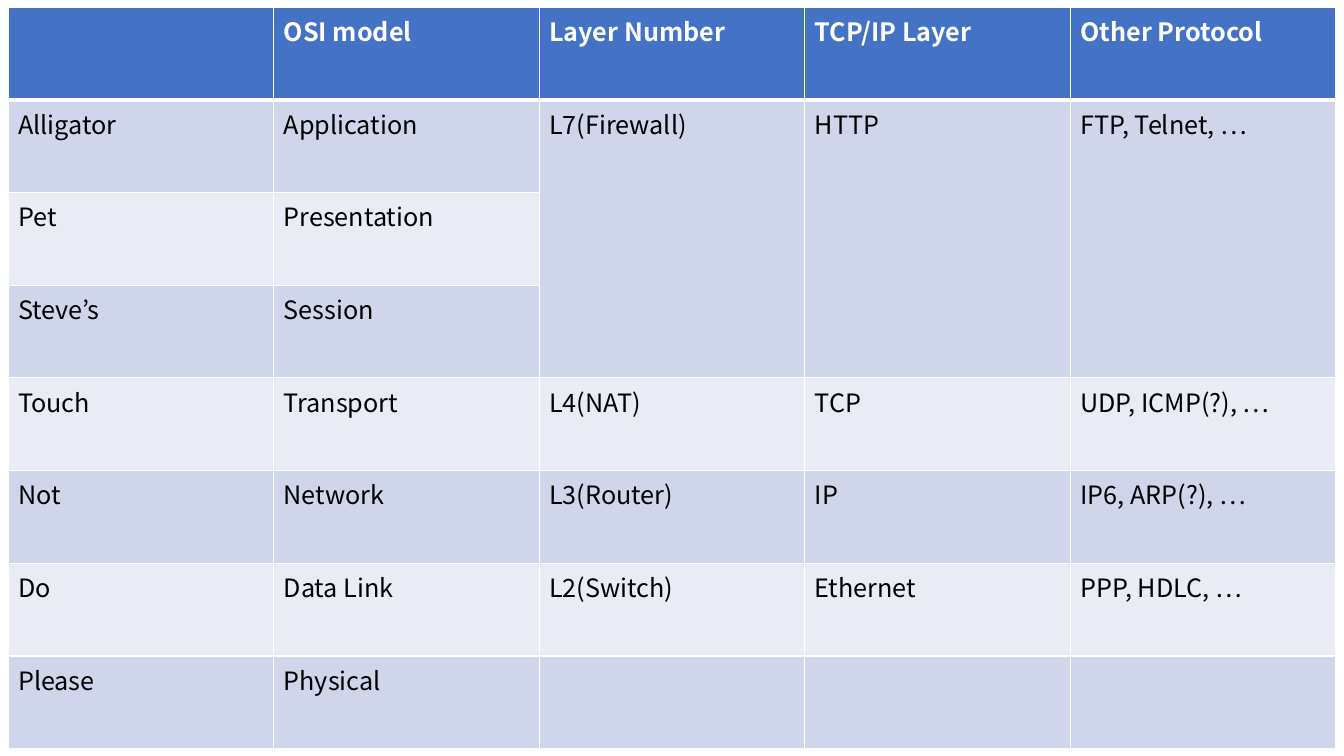
from dataclasses import dataclass

from lxml.etree import SubElement
from pptx import Presentation
from pptx.dml.color import RGBColor as RGB
from pptx.oxml.ns import qn
from pptx.util import Inches, Pt


@dataclass(frozen=True)
class Theme:
    """Colours, type and line widths of the slide."""
    font: str = "Noto Sans CJK KR"
    size: int = 18
    white: str = "FFFFFF"
    black: str = "000000"
    header: str = "4472C4"
    bands: tuple = ("CFD5EA", "E9EBF5")
    thin: int = 1
    thick: int = 3


def add_borders(cell, top, bottom):
    """Draw white borders round a cell, with the top and bottom widths in points."""
    sides = {"lnL": theme.thin, "lnR": theme.thin, "lnT": top, "lnB": bottom}
    properties = cell._tc.get_or_add_tcPr()
    for side, width in sides.items():
        line = SubElement(properties, qn(f"a:{side}"), w=str(Pt(width)))
        colour = SubElement(line, qn("a:solidFill"))
        SubElement(colour, qn("a:srgbClr"), val=theme.white)


theme = Theme()
layers = [
    ("", "OSI model", "Layer Number", "TCP/IP Layer", "Other Protocol"),
    ("Alligator", "Application", "L7(Firewall)", "HTTP", "FTP, Telnet, …"),
    ("Pet", "Presentation", "", "", ""),
    ("Steve’s", "Session", "", "", ""),
    ("Touch", "Transport", "L4(NAT)", "TCP", "UDP, ICMP(?), …"),
    ("Not", "Network", "L3(Router)", "IP", "IP6, ARP(?), …"),
    ("Do", "Data Link", "L2(Switch)", "Ethernet", "PPP, HDLC, …"),
    ("Please", "Physical", "", "", ""),
]
application_row, session_row = 1, 3
first_merged_column = 2

deck = Presentation()
deck.slide_width, deck.slide_height = Inches(13.33), Inches(7.5)
slide = deck.slides.add_slide(deck.slide_layouts[6])

left, top = Inches(0.08), Inches(0.07)
osi_table = slide.shapes.add_table(
    len(layers), len(layers[0]), left, top,
    deck.slide_width - 2 * left, deck.slide_height - 2 * top,
).table

for row, layer in enumerate(layers):
    is_header = row == 0
    fill = theme.header if is_header else theme.bands[(row - 1) % 2]
    ink = theme.white if is_header else theme.black
    for column, wording in enumerate(layer):
        cell = osi_table.cell(row, column)
        add_borders(
            cell,
            top=theme.thick if row == 1 else theme.thin,
            bottom=theme.thick if is_header else theme.thin,
        )
        cell.fill.solid()
        cell.fill.fore_color.rgb = RGB.from_string(fill)
        cell.text = wording
        font = cell.text_frame.paragraphs[0].font
        font.name, font.size, font.bold = theme.font, Pt(theme.size), is_header
        font.color.rgb = RGB.from_string(ink)

for column in range(first_merged_column, len(layers[0])):
    osi_table.cell(application_row, column).merge(osi_table.cell(session_row, column))

deck.save("out.pptx")
